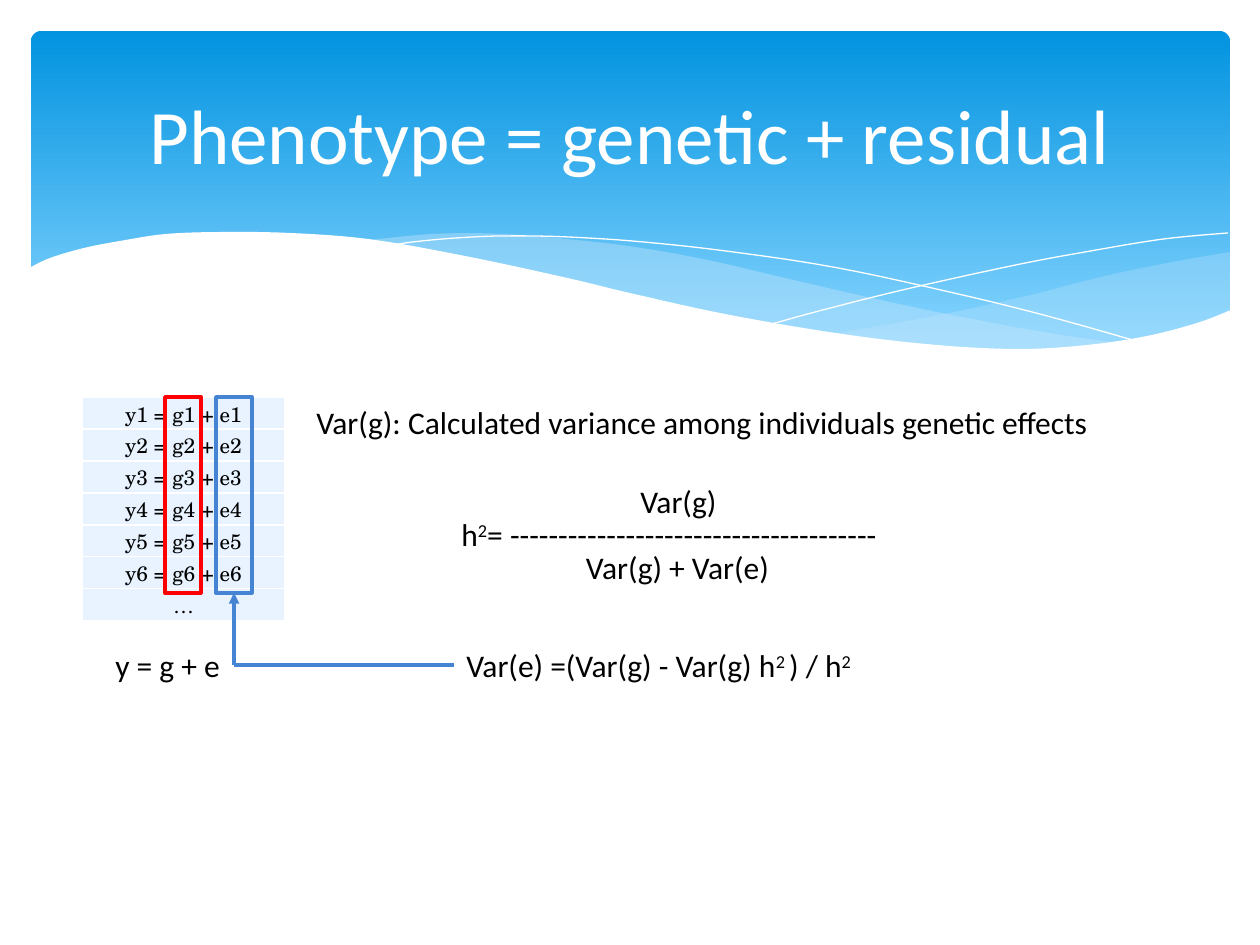
from dataclasses import dataclass

from lxml.etree import SubElement
from pptx import Presentation
from pptx.dml.color import RGBColor as RGB
from pptx.enum.shapes import MSO_CONNECTOR as CONN, MSO_SHAPE as SHAPE
from pptx.enum.text import MSO_ANCHOR as ANCHOR, MSO_AUTO_SIZE as AUTO, PP_ALIGN as ALIGN
from pptx.oxml.ns import qn
from pptx.util import Emu, Pt


@dataclass(frozen=True)
class Theme:
    sky: RGB = RGB(0x02, 0x93, 0xE0)
    pale_sky: RGB = RGB(0x83, 0xD3, 0xFE)
    wave: RGB = RGB(0xC6, 0xE7, 0xFC)
    white: RGB = RGB(0xFF, 0xFF, 0xFF)
    ink: RGB = RGB(0, 0, 0)
    cell: RGB = RGB(0xE8, 0xF3, 0xFF)
    genetic: RGB = RGB(0xFF, 0, 0)
    residual: RGB = RGB(0x45, 0x84, 0xD3)
    font: str = "Calibri"
    table_font: str = "TeX Gyre Schola"
    title: Pt = Pt(44)
    body: Pt = Pt(18)
    table: Pt = Pt(12)
    rule: Pt = Pt(2)


theme = Theme()


def px(n):
    return Emu(round(n * 914400 / 126))


def curve(knots, steps=6):
    """Return points on a Catmull-Rom spline through the knots."""
    padded = [knots[0], *knots, knots[-1]]
    points = [knots[0]]
    for a, b, c, d in zip(padded, padded[1:], padded[2:], padded[3:]):
        for i in range(1, steps + 1):
            t = i / steps
            points.append(tuple(
                (2 * q + (r - p) * t + (2 * p - 5 * q + 4 * r - s) * t**2
                 + (3 * q - p - 3 * r + s) * t**3) / 2
                for p, q, r, s in zip(a, b, c, d)))
    return points


prs = Presentation()
prs.slide_width, prs.slide_height = px(1260), px(945)
slide = prs.slides.add_slide(prs.slide_layouts[5])
shapes = slide.shapes

# Banner
banner = shapes.add_shape(SHAPE.ROUNDED_RECTANGLE, px(31), px(31), px(1199), px(340))
banner.adjustments[0] = 0.03
banner.shadow.inherit = False
banner.line.fill.background()
banner.fill.gradient()
banner.fill.gradient_angle = 270
for stop, color, position in zip(banner.fill.gradient_stops,
                                 (theme.sky, theme.pale_sky), (0, 0.9)):
    stop.color.rgb, stop.position = color, position

# Waves: outline, fill and opacity in percent; an outline without fill is a thin line
right_wave = curve([(1230, 252), (1178, 261), (1123, 272), (1085, 281), (1014, 299),
                    (919, 319), (833, 334)]) + curve(
                   [(833, 334), (906, 343), (984, 349), (1038, 350), (1099, 345),
                    (1160, 334), (1196, 324), (1230, 311)])
middle_wave = curve([(1125, 344), (1055, 334), (977, 320), (890, 302), (793, 280),
                     (717, 262), (648, 249), (586, 241), (503, 234), (433, 234),
                     (360, 241)]) + curve(
                    [(360, 241), (431, 251), (509, 266), (566, 280), (668, 302),
                     (757, 321), (838, 335), (910, 345), (989, 350), (1056, 350),
                     (1125, 344)])
falling_line = curve([(389, 246), (413, 242), (457, 238), (505, 236), (567, 237),
                      (643, 242), (733, 252), (838, 268), (958, 294), (1047, 316),
                      (1143, 343)])
rising_line = curve([(772, 324), (823, 310), (907, 289), (1016, 265), (1091, 251),
                     (1164, 239), (1228, 233)])
front_wave = curve([(1231, 310), (1197, 323), (1147, 336), (1087, 345), (1019, 349),
                    (937, 345), (842, 334), (730, 315), (634, 294), (563, 277),
                    (460, 255), (368, 239), (290, 233), (223, 232), (166, 234),
                    (120, 241), (84, 248), (50, 258), (29, 268)]) + [(29, 415), (1231, 415)]

for outline, color, opacity in ((right_wave, theme.wave, 29), (middle_wave, theme.wave, 40),
                                (falling_line, None, 100), (rising_line, None, 100),
                                (front_wave, theme.white, 100)):
    start, *rest = [(px(x), px(y)) for x, y in outline]
    builder = shapes.build_freeform(*start)
    builder.add_line_segments(rest, close=color is not None)
    sp = builder.convert_to_shape()
    sp.shadow.inherit = False
    if color is None:
        sp.fill.background()
        sp.line.color.rgb, sp.line.width = theme.white, 0
        continue
    sp.line.fill.background()
    sp.fill.solid()
    sp.fill.fore_color.rgb = color
    if opacity < 100:
        srgb = sp._element.spPr.find(f"{qn('a:solidFill')}/{qn('a:srgbClr')}")
        SubElement(srgb, qn("a:alpha"), val=str(opacity * 1000))

# Title, brought in front of the banner
title = shapes.title
shapes._spTree.append(title._element)
title.left, title.top, title.width, title.height = px(63), px(47), px(1134), px(173)
tf = title.text_frame
tf.text = "Phenotype = genetic + residual"
tf.vertical_anchor = ANCHOR.MIDDLE
p = tf.paragraphs[0]
p.alignment = ALIGN.CENTER
font = p.runs[0].font
font.name, font.size, font.color.rgb = theme.font, theme.title, theme.white

# Table of phenotypes
rows = [f"y{i} = g{i} + e{i}" for i in range(1, 7)] + ["…"]
table = shapes.add_table(len(rows), 1, px(82), px(397), px(203), px(28 * len(rows))).table
table.first_row = table.horz_banding = False
for row, text in enumerate(rows):
    cell = table.cell(row, 0)
    cell.text = text
    cell.vertical_anchor = ANCHOR.BOTTOM
    cell.margin_left = cell.margin_right = cell.margin_top = px(1)
    cell.margin_bottom = 0
    p = cell.text_frame.paragraphs[0]
    p.alignment = ALIGN.CENTER
    font = p.runs[0].font
    font.name, font.size, font.color.rgb = theme.table_font, theme.table, theme.ink
    tcPr = cell._tc.get_or_add_tcPr()
    for side in ("lnL", "lnR", "lnT", "lnB"):
        ln = SubElement(tcPr, qn(f"a:{side}"), w=str(Pt(1)))
        SubElement(SubElement(ln, qn("a:solidFill")), qn("a:srgbClr"), val=str(theme.white))
    cell.fill.solid()
    cell.fill.fore_color.rgb = theme.cell

# Formulas: every second part between bars is superscript
boxes = {}
for name, left, top, width, align, text in (
    ("model", 103, 640, 160, ALIGN.LEFT, "y = g + e"),
    ("meaning", 304, 397, 931, ALIGN.LEFT,
     "Var(g): Calculated variance among individuals genetic effects"),
    ("numerator", 587, 476, 183, ALIGN.CENTER, "Var(g)"),
    ("denominator", 510, 542, 335, ALIGN.CENTER, "Var(g) + Var(e)"),
    ("fraction", 422, 509, 494, ALIGN.CENTER, "h|2|= " + "-" * 38),
    ("variance", 454, 640, 431, ALIGN.LEFT, "Var(e) =(Var(g) - Var(g) h|2 |) / h|2"),
):
    box = boxes[name] = shapes.add_textbox(px(left), px(top), px(width), px(50))
    tf = box.text_frame
    tf.word_wrap = name != "variance"
    tf.auto_size = AUTO.SHAPE_TO_FIT_TEXT
    p = tf.paragraphs[0]
    p.alignment = align
    for i, part in enumerate(text.split("|")):
        r = p.add_run()
        r.text = part
        r.font.name, r.font.size, r.font.color.rgb = theme.font, theme.body, theme.ink
        if i % 2:
            r._r.get_or_add_rPr().set("baseline", "30000")

# Frames round the genetic and residual columns
for left, color in ((165, theme.genetic), (216, theme.residual)):
    frame = shapes.add_shape(SHAPE.RECTANGLE, px(left), px(397), px(36), px(196))
    frame.shadow.inherit = False
    frame.fill.background()
    frame.line.color.rgb, frame.line.width = color, theme.rule
residual_frame = frame

# Arrow from the residual variance to the residual column
riser = shapes.add_connector(CONN.STRAIGHT, px(234), px(665), px(234), px(593))
riser.end_connect(residual_frame, 2)
base = shapes.add_connector(CONN.STRAIGHT, px(454), px(665), px(234), px(665))
base.begin_connect(boxes["variance"], 1)
for line in (riser, base):
    line.line.color.rgb, line.line.width = theme.residual, theme.rule
    SubElement(line._element.spPr, qn("a:effectLst"))
SubElement(riser.line._get_or_add_ln(), qn("a:tailEnd"), type="triangle")

prs.save("out.pptx")
